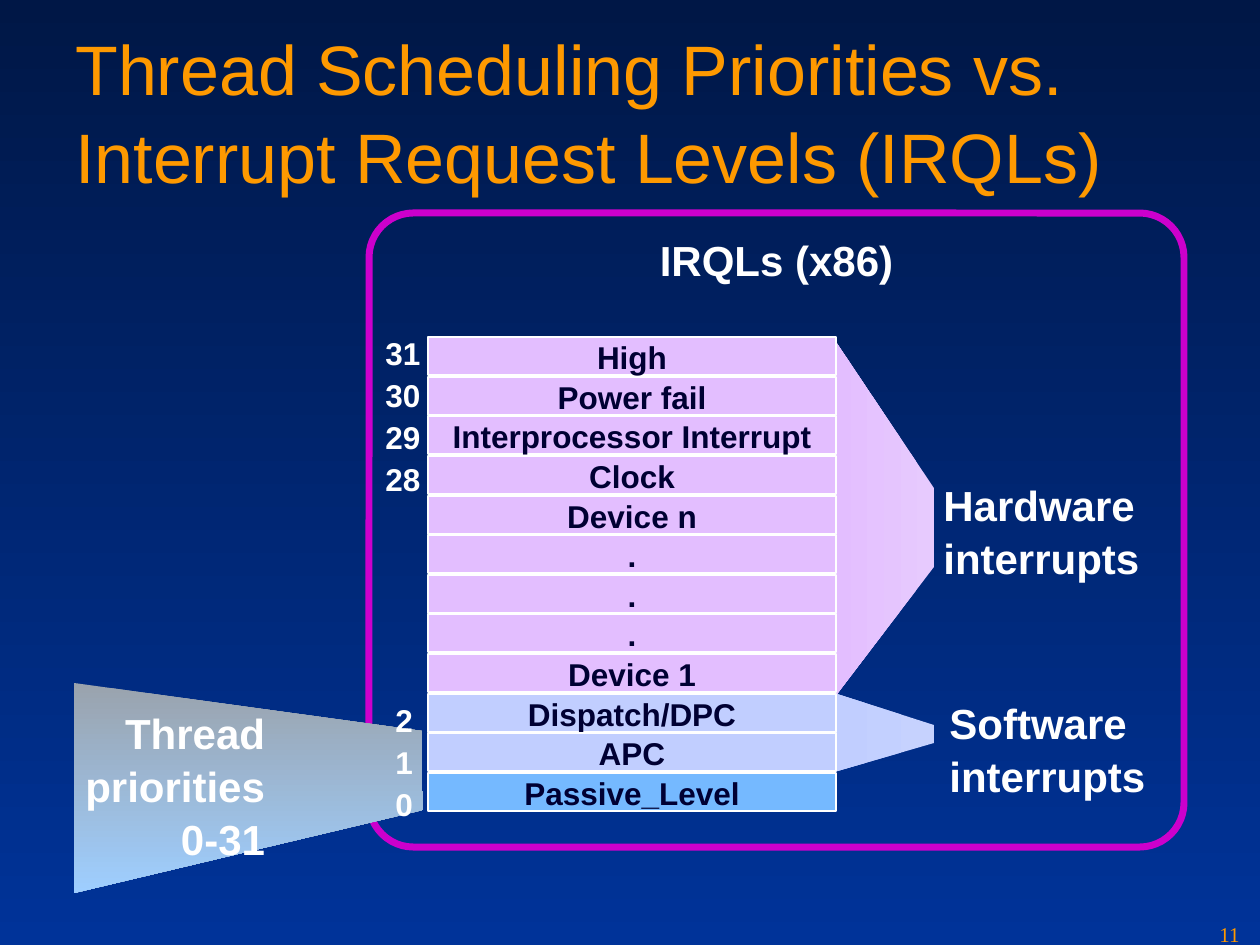
import pptx
import pptx.util
import pptx.dml.color
import pptx.enum.shapes
import pptx.enum.text

RGBColor = pptx.dml.color.RGBColor
ALIGN = pptx.enum.text.PP_ALIGN
ANCHOR = pptx.enum.text.MSO_ANCHOR
SHAPE = pptx.enum.shapes.MSO_SHAPE
PX = 914400 / 126

WHITE = RGBColor(0xFF, 0xFF, 0xFF)
NAVY = RGBColor(0x00, 0x00, 0x33)
ORANGE = RGBColor(0xFE, 0x99, 0x00)
MAGENTA = RGBColor(0xCC, 0x00, 0xCC)
LILAC = RGBColor(0xE3, 0xBE, 0xFF)
PALE_LILAC = RGBColor(0xE7, 0xCA, 0xFE)
PERIWINKLE = RGBColor(0xC1, 0xCE, 0xFF)
PALE_PERIWINKLE = RGBColor(0xC6, 0xD2, 0xFE)
SKY = RGBColor(0x75, 0xB9, 0xFF)
GRAY = RGBColor(0x9A, 0xA3, 0xAD)
PALE_BLUE = RGBColor(0x9E, 0xCE, 0xFF)
BG_TOP = RGBColor(0x00, 0x17, 0x46)
BG_BOTTOM = RGBColor(0x00, 0x33, 0x99)


def set_gradient(fill, start, end, angle):
    fill.gradient()
    fill.gradient_angle = angle
    for stop, color in zip(fill.gradient_stops, (start, end)):
        stop.color.rgb = color


def write(sp, lines, size, color, align=ALIGN.LEFT, bold=True, wrap=False,
          anchor=ANCHOR.TOP, font="Arial"):
    tf = sp.text_frame
    tf.word_wrap = wrap
    tf.vertical_anchor = anchor
    tf.text = "\n".join(lines)
    for p in tf.paragraphs:
        p.alignment = align
        p.line_spacing = 1.05
        p.font.name = font
        p.font.size = pptx.util.Pt(size)
        p.font.bold = bold
        p.font.color.rgb = color
    return tf


prs = pptx.Presentation()
prs.slide_width = pptx.util.Inches(10)
prs.slide_height = pptx.util.Inches(7.5)
s = prs.slides.add_slide(prs.slide_layouts[6])
set_gradient(s.background.fill, BG_TOP, BG_BOTTOM, 270)

funnels = [
    ([(834, 693), (834, 772), (934, 743), (934, 725)],
     PALE_PERIWINKLE, PERIWINKLE, 180),
    ([(834, 339), (834, 698), (934, 567), (934, 488)],
     PALE_LILAC, LILAC, 180),
    ([(74, 683), (74, 893), (423, 810), (422, 731)], GRAY, PALE_BLUE, 270),
]
funnel_shapes = []
for points, start, end, angle in funnels:
    points = [(round(x * PX), round(y * PX)) for x, y in points]
    fb = s.shapes.build_freeform(*points[0])
    fb.add_line_segments(points[1:], close=True)
    sp = fb.convert_to_shape()
    sp.shadow.inherit = False
    sp.line.fill.background()
    set_gradient(sp.fill, start, end, angle)
    funnel_shapes.append(sp)

levels = ["High", "Power fail", "Interprocessor Interrupt", "Clock", "Device n",
          ".", ".", ".", "Device 1", "Dispatch/DPC", "APC", "Passive_Level"]
colors = [LILAC] * 9 + [PERIWINKLE] * 2 + [SKY]
pitch = (773 - 337) / (len(levels) - 1)
for i, (level, color) in enumerate(zip(levels, colors)):
    top = round(337 + i * pitch)
    sp = s.shapes.add_shape(SHAPE.RECTANGLE, *(round(v * PX) for v in (428, top, 408, 38)))
    sp.shadow.inherit = False
    sp.fill.solid()
    sp.fill.fore_color.rgb = color
    sp.line.color.rgb = WHITE
    sp.line.width = pptx.util.Pt(1)
    write(sp, [level], 18, NAVY, ALIGN.CENTER, anchor=ANCHOR.MIDDLE)

sp = s.shapes.add_shape(SHAPE.ROUNDED_RECTANGLE, *(round(v * PX) for v in (369, 213, 815, 634)))
sp.adjustments[0] = 0.07
sp.shadow.inherit = False
sp.fill.background()
sp.line.color.rgb = MAGENTA
sp.line.width = pptx.util.Pt(4)
write(sp, ["IRQLs (x86)"], 24, WHITE, ALIGN.CENTER)

s.shapes._spTree.append(funnel_shapes[-1]._element)

labels = [
    ((63, 30, 1134, 158), ["Thread Scheduling Priorities vs. Interrupt Request Levels (IRQLs)"],
     40, ORANGE, dict(bold=False, wrap=True, anchor=ANCHOR.MIDDLE)),
    ((931, 471, 228, 113), ["Hardware", "interrupts"], 24, WHITE, {}),
    ((937, 689, 222, 113), ["Software", "interrupts"], 24, WHITE, {}),
    ((1207, 914, 53, 32), ["11"], 12, ORANGE, dict(bold=False, font="Times New Roman")),
]
for i in range(4):
    labels.append(((373, 326 + 42 * i, 60, 50), [str(31 - i)], 18, WHITE, {}))
for i in range(3):
    labels.append(((383, 693 + 42 * i, 43, 50), [str(2 - i)], 18, WHITE, {}))
for box, lines, size, color, options in labels:
    sp = s.shapes.add_textbox(*(round(v * PX) for v in box))
    write(sp, lines, size, color, **options)

sp = s.shapes.add_textbox(*(round(v * PX) for v in (55, 705, 210, 152)))
tf = write(sp, ["Thread priorities", "0-31"], 24, WHITE, ALIGN.RIGHT, wrap=True)
tf.margin_left = tf.margin_right = tf.margin_top = tf.margin_bottom = 0

prs.save("out.pptx")
